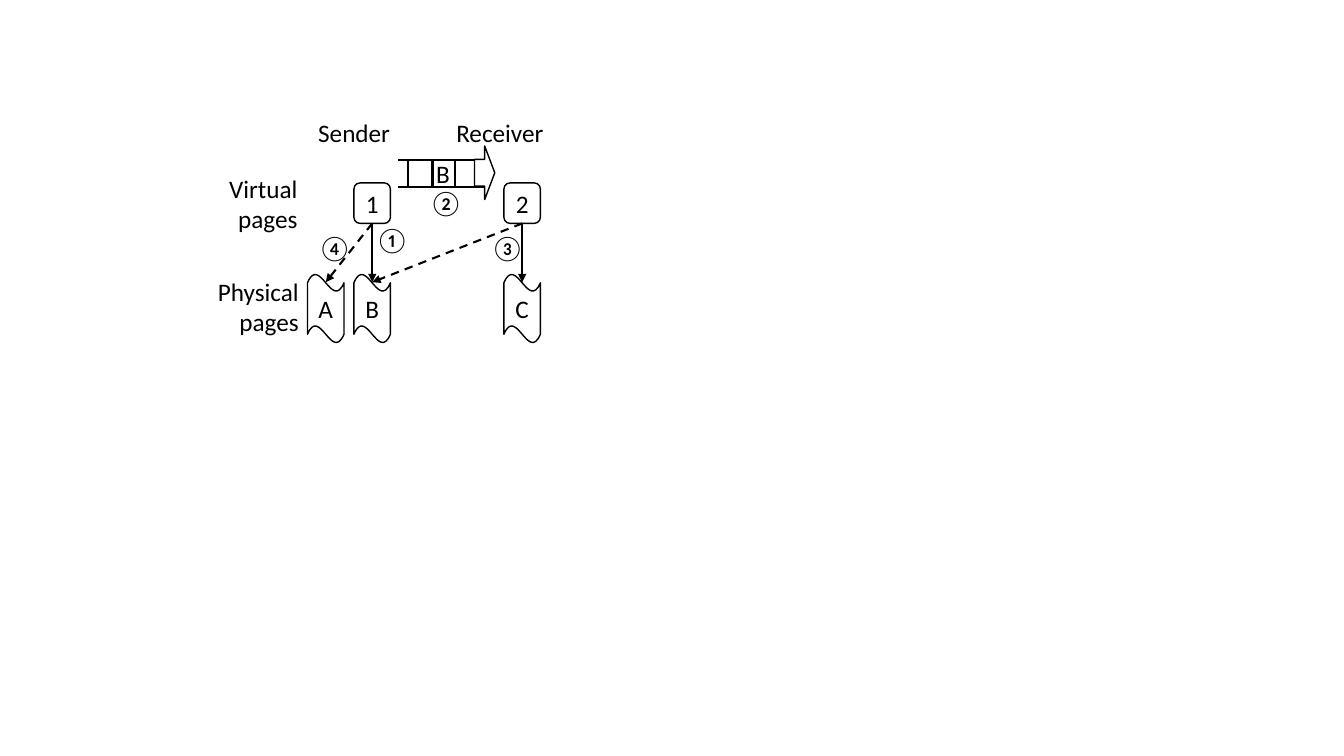
"""Builds a slide showing how a sender and a receiver exchange physical pages."""
from dataclasses import dataclass

from pptx import Presentation
from pptx import util as u
from pptx.dml.color import RGBColor
from pptx.enum import dml, shapes, text
from pptx.oxml.ns import qn
from lxml import etree


@dataclass(frozen=True)
class Theme:
    """Colours, font and sizes."""
    ink: RGBColor = RGBColor(0, 0, 0)
    paper: RGBColor = RGBColor(255, 255, 255)
    font: str = "Calibri"
    size: float = 18
    outline: float = 1
    stroke: float = 1.5


class Diagram:
    """Draws styled elements on one slide, with lengths in centimetres."""

    def __init__(self, slide, theme):
        """Keeps the slide and its style."""
        self.s = slide
        self.theme = theme

    def set_text(self, tf, content, align):
        """Sets and formats the text of a frame."""
        p = tf.paragraphs[0]
        p.text = content
        p.alignment = align
        for r in p.runs:
            r.font.name = self.theme.font
            r.font.size = u.Pt(self.theme.size)
            r.font.color.rgb = self.theme.ink

    def label(self, content, x, y, w, h=1.02, align=text.PP_ALIGN.LEFT):
        """Adds a free label that does not wrap."""
        tf = self.s.shapes.add_textbox(*map(u.Cm, (x, y, w, h))).text_frame
        tf.word_wrap = False
        tf.auto_size = text.MSO_AUTO_SIZE.SHAPE_TO_FIT_TEXT
        self.set_text(tf, content, align)

    def shape(self, kind, x, y, w, h, content=""):
        """Adds an outlined shape with centred text."""
        sp = self.s.shapes.add_shape(kind, *map(u.Cm, (x, y, w, h)))
        sp.shadow.inherit = False
        sp.fill.solid()
        sp.fill.fore_color.rgb = self.theme.paper
        sp.line.color.rgb = self.theme.ink
        sp.line.width = u.Pt(self.theme.outline)
        if content:
            sp.text_frame.vertical_anchor = text.MSO_ANCHOR.MIDDLE
            self.set_text(sp.text_frame, content, text.PP_ALIGN.CENTER)
        return sp

    def line(self, x1, y1, x2, y2):
        """Adds a plain straight line."""
        c = self.s.shapes.add_connector(
            shapes.MSO_CONNECTOR.STRAIGHT, *map(u.Cm, (x1, y1, x2, y2)))
        c.line.color.rgb = self.theme.ink
        c.line.width = u.Pt(self.theme.stroke)
        etree.SubElement(c._element.spPr, qn("a:effectLst"))
        return c

    def mapping(self, page, x, y, dashed=False):
        """Adds an arrow from the bottom of a virtual page to a point."""
        c = self.line(x, y, x, y)
        c.begin_connect(page, 2)
        if dashed:
            c.line.dash_style = dml.MSO_LINE.DASH
        ln = c._element.spPr.find(qn("a:ln"))
        etree.SubElement(ln, qn("a:tailEnd"), type="triangle")


def main():
    """Draws the page exchange and saves the deck."""
    prs = Presentation()
    prs.slide_width, prs.slide_height = u.Cm(33.87), u.Cm(19.05)
    d = Diagram(prs.slides.add_slide(prs.slide_layouts[6]), Theme())
    kinds = shapes.MSO_SHAPE

    page_w = 0.92
    columns = {"A": 7.75, "B": 8.92, "C": 12.7}
    for name, x in columns.items():
        d.shape(kinds.WAVE, x, 6.91, page_w, 1.73, name)
    virtual = {name: d.shape(kinds.ROUNDED_RECTANGLE, columns[col], 4.61,
                             page_w, 1.02, name)
               for name, col in (("1", "B"), ("2", "C"))}

    for source, target, dashed in (("1", "B", False), ("2", "C", False),
                                   ("2", "B", True), ("1", "A", True)):
        d.mapping(virtual[source], columns[target] + page_w / 2, 7.11, dashed)

    queue_top, queue_bottom = 4.04, 4.72
    for y in (queue_top, queue_bottom):
        d.line(10.03, y, 12.19, y)
    for x in (10.29, 10.9, 11.46, 11.99):
        d.line(x, queue_top, x, queue_bottom)

    d.label("Sender", 7.77, 2.82, 2.34)
    d.label("Receiver", 11.25, 2.84, 2.74)
    d.label("Virtual\npages", 5.49, 4.24, 2.26, 1.8, text.PP_ALIGN.RIGHT)
    d.label("Physical\npages", 5.21, 6.83, 2.57, 1.8, text.PP_ALIGN.RIGHT)
    d.label("B", 10.74, 3.86, 0.86)
    for step, x, y in (("①", 9.22, 5.54), ("②", 10.57, 4.6),
                       ("③", 12.12, 5.74), ("④", 7.77, 5.74)):
        d.label(step, x, y, 1.14)
    d.shape(kinds.RIGHT_ARROW, 11.96, 3.68, 0.51, 1.35)

    prs.save("out.pptx")


if __name__ == "__main__":
    main()
